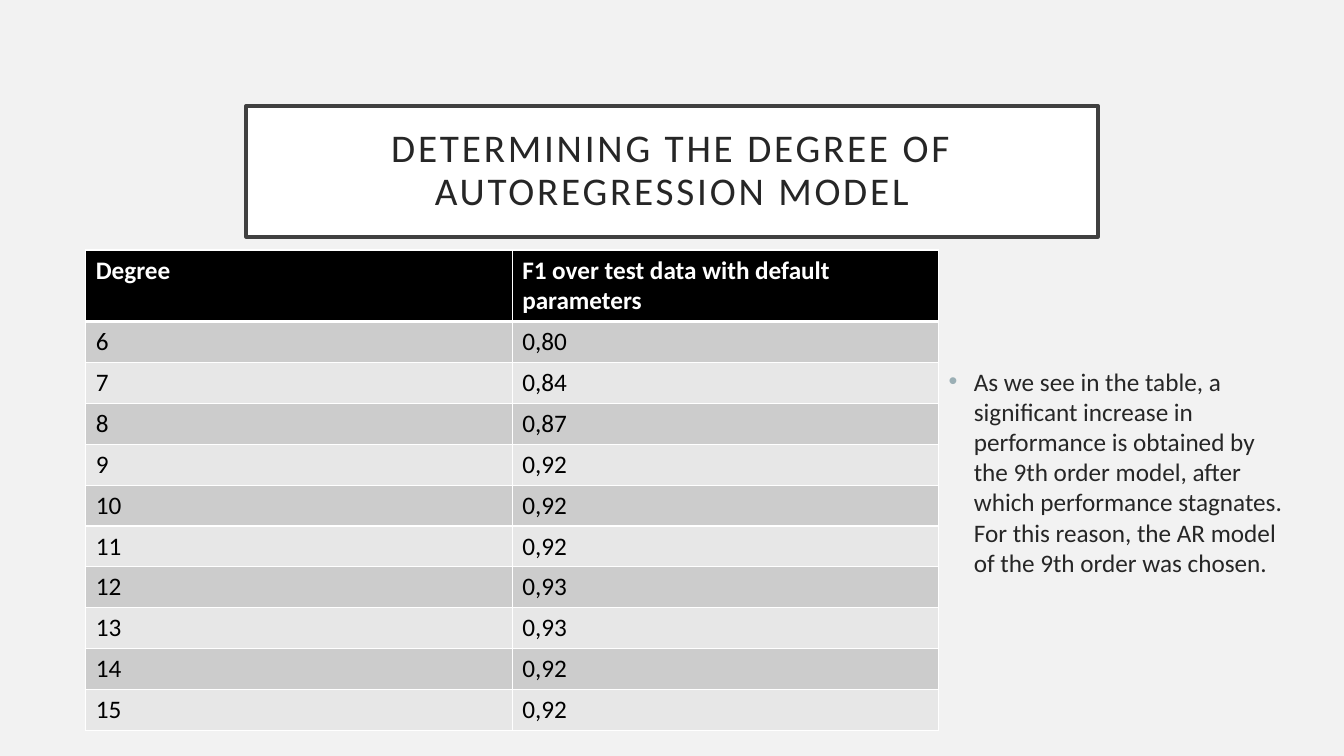
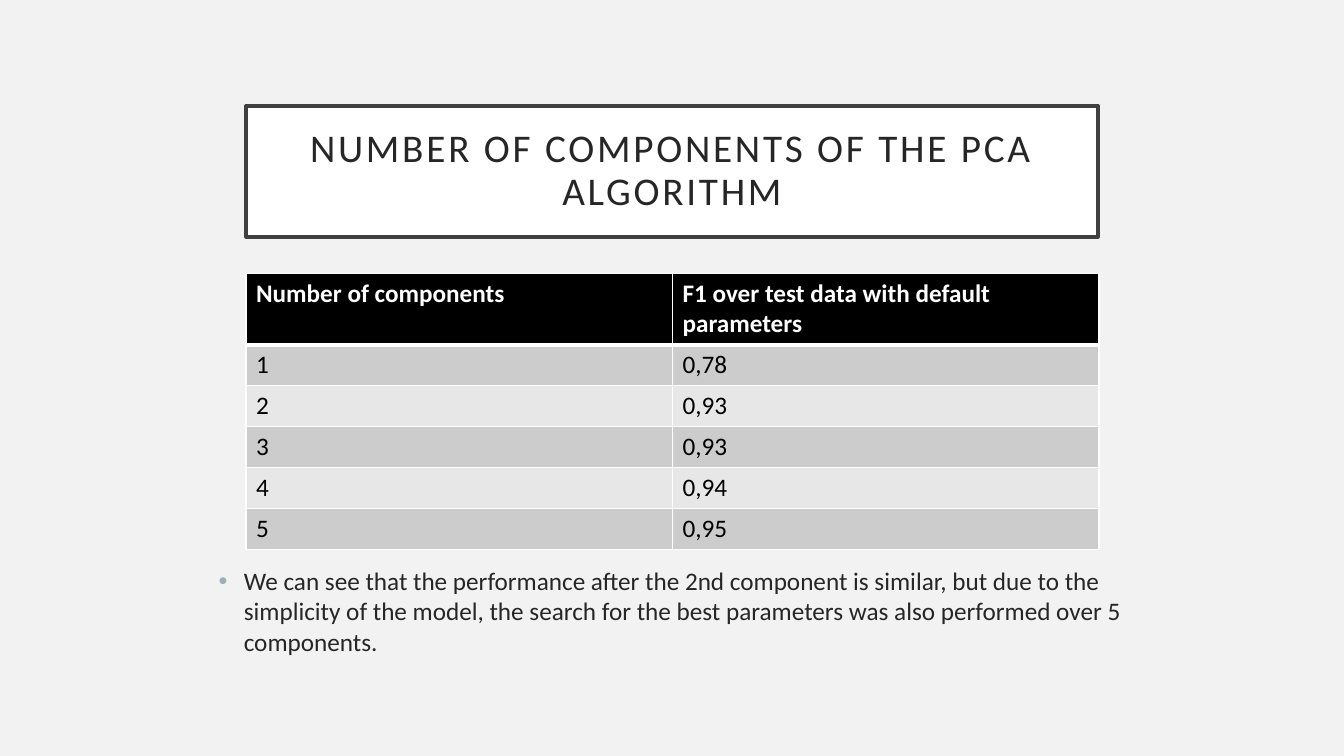
from dataclasses import dataclass

from lxml.etree import SubElement
from pptx import Presentation
from pptx.dml.color import RGBColor
from pptx.enum.text import MSO_ANCHOR, MSO_AUTO_SIZE, PP_ALIGN
from pptx.oxml.ns import qn
from pptx.util import Emu, Pt

PX = 9144  # EMU in one px, 100 px to the inch


@dataclass(frozen=True)
class Theme:
    font: str = "Calibri"
    title_size: int = 28
    body_size: int = 18
    background: str = "F2F2F2"
    white: str = "FFFFFF"
    black: str = "000000"
    ink: str = "262626"
    frame: str = "404040"
    bullet: str = "9BAFB5"
    bands: tuple = ("CCCCCC", "E7E7E7")


THEME = Theme()
TITLE_AREA = (244, 105, 845, 130)
TITLE_INSET = 20
COLUMN_WIDTH = 423
HEADER_HEIGHT, ROW_HEIGHT = 70, 40
INDENT = 25
THIN, THICK = 1, 3

SLIDES = [
    {
        "title": "DETERMINING THE DEGREE OF AUTOREGRESSION MODEL",
        "table_at": (85, 248),
        "rows": [
            ("Degree", "F1 over test data with default parameters"),
            ("6", "0,80"),
            ("7", "0,84"),
            ("8", "0,87"),
            ("9", "0,92"),
            ("10", "0,92"),
            ("11", "0,92"),
            ("12", "0,93"),
            ("13", "0,93"),
            ("14", "0,92"),
            ("15", "0,92"),
        ],
        "remark_area": (931, 358, 358, 252),
        "remark": "As we see in the table, a significant increase in performance is "
                  "obtained by the 9th order model, after which performance stagnates. "
                  "For this reason, the AR model of the 9th order was chosen.",
    },
    {
        "title": "NUMBER OF COMPONENTS OF THE PCA ALGORITHM",
        "table_at": (244, 271),
        "rows": [
            ("Number of components", "F1 over test data with default parameters"),
            ("1", "0,78"),
            ("2", "0,93"),
            ("3", "0,93"),
            ("4", "0,94"),
            ("5", "0,95"),
        ],
        "remark_area": (207, 556, 944, 156),
        "remark": "We can see that the performance after the 2nd component is similar, "
                  "but due to the simplicity of the model, the search for the best "
                  "parameters was also performed over 5 components.",
    },
]


def write(frame, text, color, size=THEME.body_size, bold=False):
    """Put text into the frame's first paragraph and return that paragraph."""
    para = frame.paragraphs[0]
    span = para.add_run()
    span.text = text
    for name, value in {"name": THEME.font, "size": Pt(size), "bold": bold}.items():
        setattr(span.font, name, value)
    span.font.color.rgb = RGBColor.from_string(color)
    return para


def add_border(cell, side, width):
    line = SubElement(cell._tc.get_or_add_tcPr(), qn(f"a:ln{side}"), w=str(Pt(width)))
    SubElement(SubElement(line, qn("a:solidFill")), qn("a:srgbClr"), val=THEME.white)


deck = Presentation()
deck.slide_width, deck.slide_height = Emu(1333 * PX), Emu(750 * PX)
page_fill = deck.slide_master.background.fill
page_fill.solid()
page_fill.fore_color.rgb = RGBColor.from_string(THEME.background)
title_only = deck.slide_layouts[5]

for content in SLIDES:
    page = deck.slides.add_slide(title_only)

    # Framed title
    title = page.shapes.title
    for name, value in zip(("left", "top", "width", "height"), TITLE_AREA):
        setattr(title, name, Emu(value * PX))
    title.fill.solid()
    title.fill.fore_color.rgb = RGBColor.from_string(THEME.white)
    title.line.color.rgb = RGBColor.from_string(THEME.frame)
    title.line.width = Pt(2.5)
    frame = title.text_frame
    frame_format = {
        "word_wrap": True,
        "auto_size": MSO_AUTO_SIZE.NONE,
        "vertical_anchor": MSO_ANCHOR.MIDDLE,
    }
    for side in ("left", "top", "right", "bottom"):
        frame_format[f"margin_{side}"] = Emu(TITLE_INSET * PX)
    for name, value in frame_format.items():
        setattr(frame, name, value)
    para = write(frame, content["title"], THEME.ink, THEME.title_size)
    para.alignment = PP_ALIGN.CENTER
    para.line_spacing = 0.9
    para.runs[0].font._element.set("spc", "200")

    # Results table
    rows = content["rows"]
    heights = [HEADER_HEIGHT] + [ROW_HEIGHT] * (len(rows) - 1)
    columns = len(rows[0])
    area = (*content["table_at"], COLUMN_WIDTH * columns, sum(heights))
    table = page.shapes.add_table(
        len(rows), columns, *(Emu(value * PX) for value in area)
    ).table
    for row_index, (texts, height) in enumerate(zip(rows, heights)):
        table.rows[row_index].height = Emu(height * PX)
        is_header = row_index == 0
        fill = THEME.black if is_header else THEME.bands[(row_index - 1) % 2]
        borders = {
            "L": THIN,
            "R": THIN,
            "T": THICK if row_index == 1 else THIN,
            "B": THICK if is_header else THIN,
        }
        for column_index, text in enumerate(texts):
            cell = table.cell(row_index, column_index)
            for side, width in borders.items():
                add_border(cell, side, width)
            cell.fill.solid()
            cell.fill.fore_color.rgb = RGBColor.from_string(fill)
            color = THEME.white if is_header else THEME.black
            write(cell.text_frame, text, color, bold=is_header)

    # Bulleted remark
    box = page.shapes.add_textbox(*(Emu(value * PX) for value in content["remark_area"]))
    box.text_frame.word_wrap = True
    para = write(box.text_frame, content["remark"], THEME.ink)
    para.space_before = Pt(10)
    properties = para._p.get_or_add_pPr()
    properties.set("marL", str(INDENT * PX))
    properties.set("indent", str(-INDENT * PX))
    SubElement(SubElement(properties, qn("a:buClr")), qn("a:srgbClr"), val=THEME.bullet)
    SubElement(properties, qn("a:buFont"), typeface="Arial")
    SubElement(properties, qn("a:buChar"), char="•")

deck.save("out.pptx")
